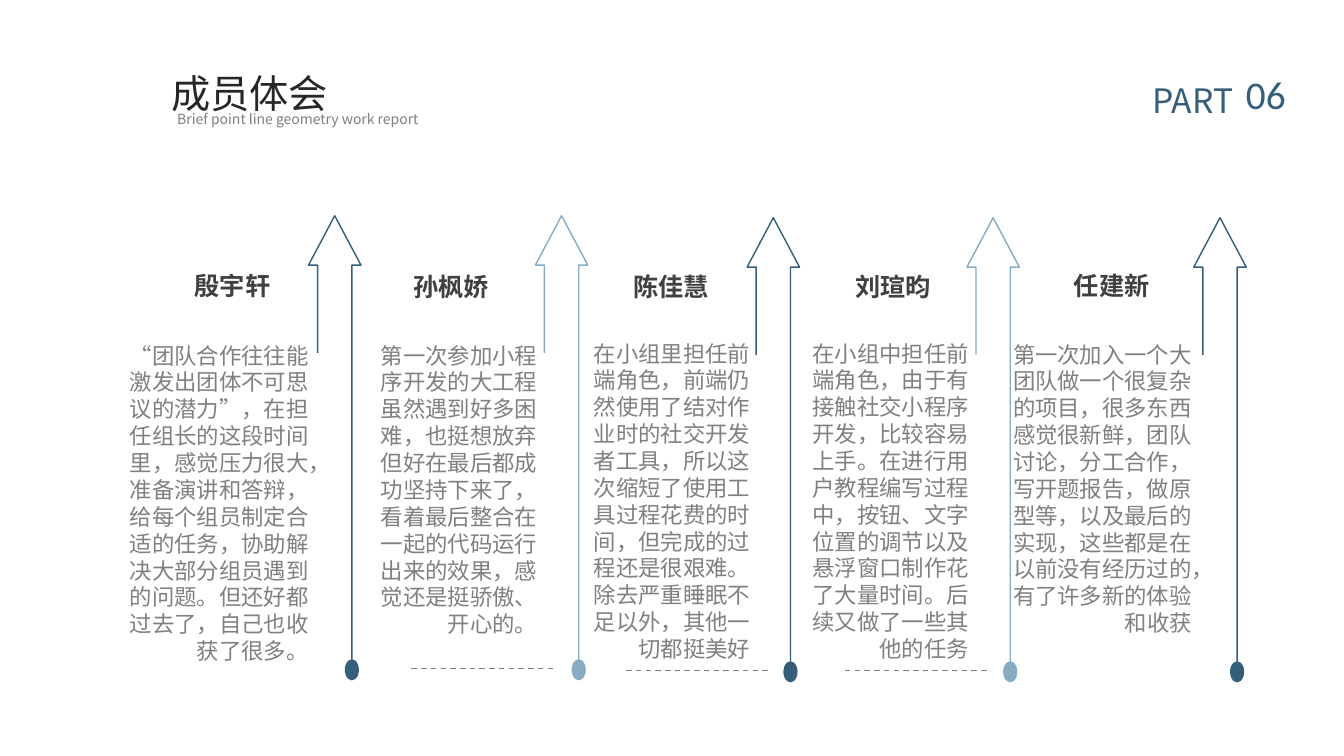
from dataclasses import dataclass
from typing import Optional

from lxml.etree import SubElement
from pptx import Presentation
from pptx.dml.color import RGBColor
from pptx.enum.dml import MSO_LINE
from pptx.enum.lang import MSO_LANGUAGE_ID
from pptx.enum.shapes import MSO_CONNECTOR, MSO_SHAPE
from pptx.enum.text import MSO_ANCHOR, PP_ALIGN
from pptx.oxml.ns import qn
from pptx.slide import Slide
from pptx.text.text import TextFrame
from pptx.util import Inches, Pt


@dataclass(frozen=True)
class Theme:
    navy: str = "345E79"
    sky: str = "86ACC4"
    grey: str = "808080"
    title: str = "262626"
    name: str = "404040"
    white: str = "FFFFFF"
    font: str = "Noto Sans CJK SC"
    number_font: str = "Calibri"
    title_size: int = 28
    part_size: int = 24
    name_size: int = 18
    story_size: int = 16
    caption_size: int = 10


@dataclass(frozen=True)
class Box:
    left: float
    top: float
    width: float
    height: float


@dataclass(frozen=True)
class Style:
    size: int
    color: str
    bold: bool = False
    font: str = Theme.font
    align: PP_ALIGN = PP_ALIGN.LEFT
    spacing: float = 1.0


@dataclass(frozen=True)
class Member:
    name: str
    name_box: Box
    story: str
    story_box: Box
    arrow_left: float
    arrow_top: float
    color: str
    dash_left: Optional[float] = None


THEME = Theme()
NAME_STYLE = Style(THEME.name_size, THEME.name, bold=True, align=PP_ALIGN.RIGHT)
STORY_STYLE = Style(THEME.story_size, THEME.grey, align=PP_ALIGN.RIGHT)
ARROW_OUTLINE = [(0.43, 4.51), (0.43, 0.49), (0.52, 0.49), (0.26, 0),
                 (0, 0.49), (0.09, 0.49), (0.09, 1.36)]
DOT = Box(0.36, 4.4, 0.14, 0.21)
DASH_DROP = 4.49
DASH_LENGTH = 1.42

MEMBERS = [
    Member("殷宇轩", Box(1.23, 2.68, 1.45, 0.3),
           "“团队合作往往能激发出团体不可思议的潜力”，在担任组长的这段时间里，感觉压力很大，"
           "准备演讲和答辩，给每个组员制定合适的任务，协助解决大部分组员遇到的问题。"
           "但还好都过去了，自己也收获了很多。",
           Box(1.18, 3.39, 1.88, 3.23), 3.06, 2.14, THEME.navy),
    Member("孙枫娇", Box(3.67, 2.69, 1.18, 0.3),
           "第一次参加小程序开发的大工程虽然遇到好多困难，也挺想放弃但好在最后都成功坚持下来了，"
           "看着最后整合在一起的代码运行出来的效果，感觉还是挺骄傲、开心的。",
           Box(3.56, 3.39, 1.77, 2.96), 5.31, 2.14, THEME.sky, 4.08),
    Member("陈佳慧", Box(5.85, 2.69, 1.18, 0.3),
           "在小组里担任前端角色，前端仍然使用了结对作业时的社交开发者工具，"
           "所以这次缩短了使用工具过程花费的时间，但完成的过程还是很艰难。"
           "除去严重睡眠不足以外，其他一切都挺美好",
           Box(5.69, 3.37, 1.75, 3.23), 7.41, 2.16, THEME.navy, 6.21),
    Member("刘瑄昀", Box(8.05, 2.69, 1.18, 0.3),
           "在小组中担任前端角色，由于有接触社交小程序开发，比较容易上手。"
           "在进行用户教程编写过程中，按钮、文字位置的调节以及悬浮窗口制作花了大量时间。"
           "后续又做了一些其他的任务",
           Box(7.85, 3.37, 1.76, 3.23), 9.59, 2.16, THEME.sky, 8.38),
    Member("任建新", Box(9.95, 2.68, 1.45, 0.3),
           "第一次加入一个大团队做一个很复杂的项目，很多东西感觉很新鲜，团队讨论，分工合作，"
           "写开题报告，做原型等，以及最后的实现，这些都是在以前没有经历过的，"
           "有了许多新的体验和收获",
           Box(10.04, 3.38, 1.78, 3.23), 11.84, 2.16, THEME.navy),
]


def rgb(color: str) -> RGBColor:
    return RGBColor.from_string(color)


def place(box: Box) -> list[int]:
    return [Inches(value) for value in (box.left, box.top, box.width, box.height)]


def write(frame: TextFrame, text: str, style: Style) -> None:
    para = frame.paragraphs[0]
    para.alignment = style.align
    para.line_spacing = style.spacing
    span = para.add_run()
    span.text = text
    span.font.size = Pt(style.size)
    span.font.bold = style.bold
    span.font.name = style.font
    span.font.color.rgb = rgb(style.color)
    span.font.language_id = MSO_LANGUAGE_ID.SIMPLIFIED_CHINESE
    SubElement(span._r.get_or_add_rPr(), qn("a:ea"), typeface=style.font)


def add_text(page: Slide, box: Box, text: str, style: Style,
             inset: float = 0.0, inset_top: float = 0.0, wrap: bool = True) -> None:
    frame = page.shapes.add_textbox(*place(box)).text_frame
    frame.word_wrap = wrap
    frame.margin_left = frame.margin_right = Inches(inset)
    frame.margin_top = frame.margin_bottom = Inches(inset_top)
    write(frame, text, style)


def add_header(page: Slide) -> None:
    add_text(page, Box(11.18, 0.66, 1.74, 0.53), "PART",
             Style(THEME.part_size, THEME.navy, spacing=1.2), 0.25, 0.05)
    add_text(page, Box(1.66, 1.05, 2.6, 0.27), "Brief point line geometry work report",
             Style(THEME.caption_size, THEME.grey), 0.1, 0.05, wrap=False)
    number = page.shapes.add_shape(MSO_SHAPE.RECTANGLE, *place(Box(12.22, 0.72, 0.67, 0.42)))
    number.shadow.inherit = False
    number.fill.solid()
    number.fill.fore_color.rgb = rgb(THEME.white)
    number.line.fill.background()
    number.text_frame.vertical_anchor = MSO_ANCHOR.MIDDLE
    write(number.text_frame, "06", Style(THEME.title_size, THEME.navy,
                                         font=THEME.number_font, align=PP_ALIGN.CENTER))
    add_text(page, Box(1.6, 0.54, 3.14, 0.62), "成员体会",
             Style(THEME.title_size, THEME.title, spacing=1.2), 0.1, 0.05)


def add_arrow(page: Slide, left: float, top: float, color: str) -> None:
    group = page.shapes.add_group_shape()
    points = [(Inches(left + x), Inches(top + y)) for x, y in ARROW_OUTLINE]
    builder = group.shapes.build_freeform(*points[0])
    builder.add_line_segments(points[1:], close=False)
    arrow = builder.convert_to_shape()
    arrow.shadow.inherit = False
    arrow.fill.background()
    arrow.line.color.rgb = rgb(color)
    arrow.line.width = Pt(1)
    dot_box = Box(left + DOT.left, top + DOT.top, DOT.width, DOT.height)
    dot = group.shapes.add_shape(MSO_SHAPE.OVAL, *place(dot_box))
    dot.shadow.inherit = False
    dot.fill.solid()
    dot.fill.fore_color.rgb = rgb(color)
    dot.line.fill.background()


def add_dash(page: Slide, left: float, top: float) -> None:
    dash = page.shapes.add_connector(MSO_CONNECTOR.STRAIGHT, Inches(left), Inches(top),
                                     Inches(left + DASH_LENGTH), Inches(top))
    dash.line.color.rgb = rgb(THEME.grey)
    dash.line.width = Pt(1)
    dash.line.dash_style = MSO_LINE.DASH
    SubElement(dash._element.spPr, qn("a:effectLst"))


def add_member(page: Slide, member: Member) -> None:
    add_text(page, member.name_box, member.name, NAME_STYLE)
    add_text(page, member.story_box, member.story, STORY_STYLE)
    add_arrow(page, member.arrow_left, member.arrow_top, member.color)
    if member.dash_left is not None:
        add_dash(page, member.dash_left, member.arrow_top + DASH_DROP)


def main() -> None:
    deck = Presentation()
    deck.slide_width, deck.slide_height = Inches(13.33), Inches(7.5)
    page = deck.slides.add_slide(deck.slide_layouts[6])
    add_header(page)
    for member in MEMBERS:
        add_member(page, member)
    deck.save("out.pptx")


if __name__ == "__main__":
    main()
